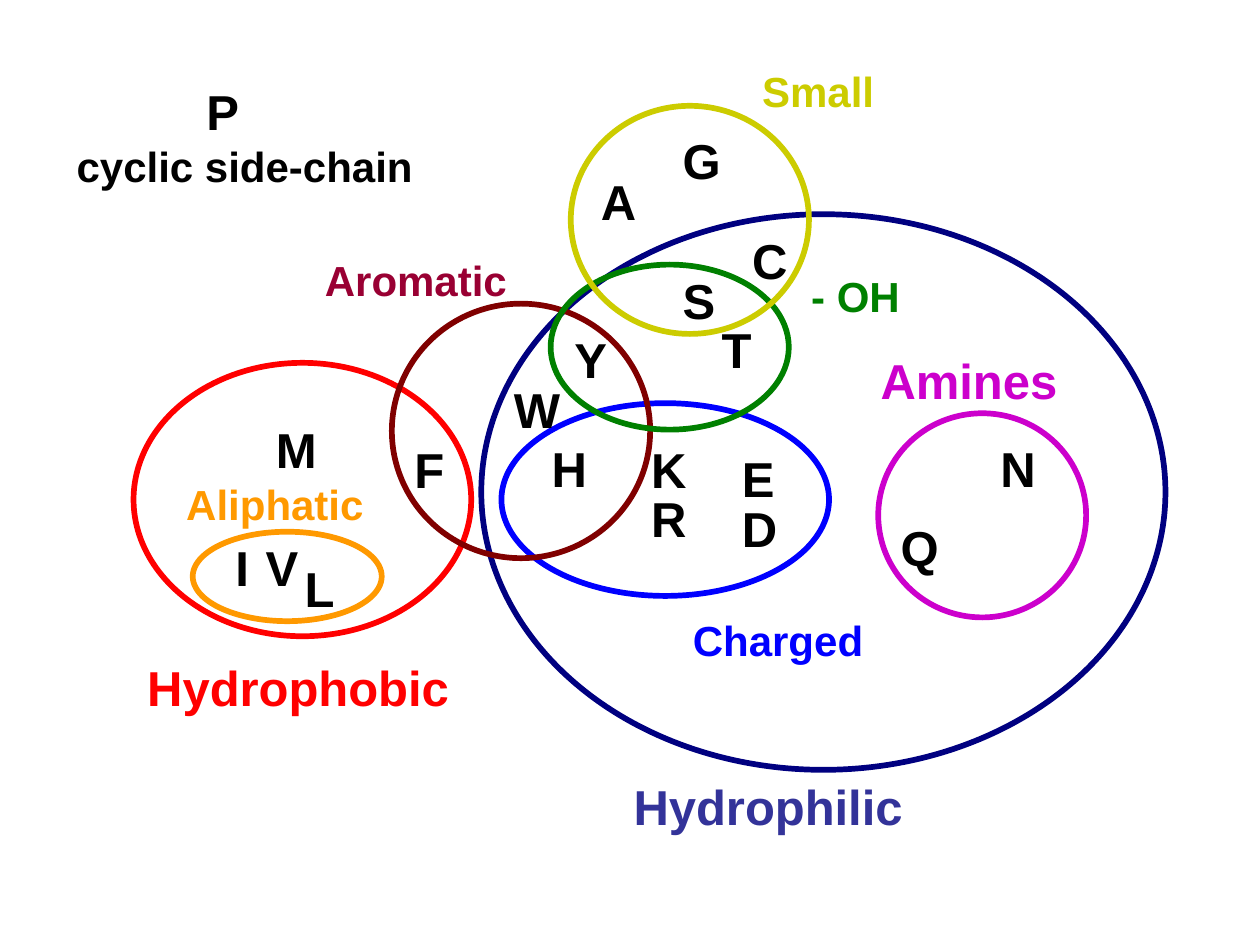
from pptx import Presentation
from pptx.dml.color import RGBColor
from pptx.enum.shapes import MSO_SHAPE as SHAPE
from pptx.enum.text import MSO_AUTO_SIZE as AUTO, PP_ALIGN as ALIGN
from pptx.util import Inches, Pt

NAVY, RED, BLUE, MAROON, GREEN = "000080", "FF0000", "0000FF", "800000", "008000"
YELLOW, PURPLE, ORANGE, BLACK = "CCCC00", "CC00CC", "FF9900", "000000"

SETS = [
    (NAVY, 3.82, 1.7, 5.43, 4.41),
    (RED, 1.06, 2.88, 2.68, 2.17),
    (BLUE, 3.98, 3.2, 2.6, 1.53),
    (MAROON, 3.11, 2.41, 2.05, 2.02),
    (GREEN, 4.37, 2.1, 1.89, 1.31),
    (YELLOW, 4.53, 0.84, 1.89, 1.81),
    (PURPLE, 6.97, 3.28, 1.65, 1.62),
    (ORANGE, 1.53, 4.22, 1.5, 0.71),
]

AMINO_ACIDS = [
    ("H", 4.28, 3.43, 0.48), ("K", 5.07, 3.44, 0.48), ("R", 5.07, 3.83, 0.48),
    ("E", 5.79, 3.51, 0.46), ("D", 5.79, 3.91, 0.48), ("N", 7.84, 3.43, 0.48),
    ("Q", 7.05, 4.06, 0.5), ("P", 1.54, 0.6, 0.46), ("I", 1.77, 4.22, 0.31),
    ("V", 2.01, 4.22, 0.46), ("L", 2.32, 4.38, 0.44), ("M", 2.09, 3.28, 0.52),
    ("F", 3.19, 3.44, 0.44), ("W", 3.98, 2.96, 0.56), ("Y", 4.46, 2.57, 0.46),
    ("S", 5.32, 2.1, 0.46), ("T", 5.63, 2.49, 0.44), ("C", 5.87, 1.78, 0.48),
    ("G", 5.32, 0.99, 0.5), ("A", 4.67, 1.31, 0.48),
]

LABELS = [
    ("Hydrophobic", 1.07, 5.17, 2.62, 28, RED),
    ("Hydrophilic", 4.93, 6.11, 2.36, 28, "333399"),
    ("Aromatic", 2.48, 1.97, 1.67, 24, "990033"),
    ("Small", 5.95, 0.47, 1.12, 24, YELLOW),
    ("Charged", 5.4, 4.83, 1.58, 24, BLUE),
    ("cyclic side-chain", 0.51, 1.07, 2.9, 24, BLACK),
    ("Amines", 6.89, 2.73, 1.63, 28, PURPLE),
    ("Aliphatic", 1.38, 3.75, 1.64, 24, ORANGE),
    ("- OH", 6.34, 2.1, 0.93, 24, GREEN),
]


def rgb(value):
    return RGBColor.from_string(value)


class VennSlide:
    """Draws the outlined sets and bold labels of a Venn diagram on one slide."""

    font = "Arial"
    line_width = Pt(3.25)
    heights = {24: 0.5, 28: 0.57}

    def __init__(self, prs):
        self.s = prs.slides.add_slide(prs.slide_layouts[6])

    def ellipse(self, color, *box):
        sp = self.s.shapes.add_shape(SHAPE.OVAL, *map(Inches, box))
        sp.shadow.inherit = False
        sp.fill.background()
        sp.line.color.rgb = rgb(color)
        sp.line.width = self.line_width

    def label(self, text, left, top, width, size=28, color=BLACK):
        box = (left, top, width, self.heights[size])
        tf = self.s.shapes.add_textbox(*map(Inches, box)).text_frame
        tf.word_wrap = False
        tf.auto_size = AUTO.SHAPE_TO_FIT_TEXT
        tf.text = text
        p = tf.paragraphs[0]
        p.alignment = ALIGN.LEFT
        font = p.runs[0].font
        font.name, font.size, font.bold = self.font, Pt(size), True
        font.color.rgb = rgb(color)


def main():
    prs = Presentation()
    prs.slide_width, prs.slide_height = Inches(10), Inches(7.5)
    venn = VennSlide(prs)
    for outline in SETS:
        venn.ellipse(*outline)
    for label in AMINO_ACIDS + LABELS:
        venn.label(*label)
    prs.save("out.pptx")


if __name__ == "__main__":
    main()
